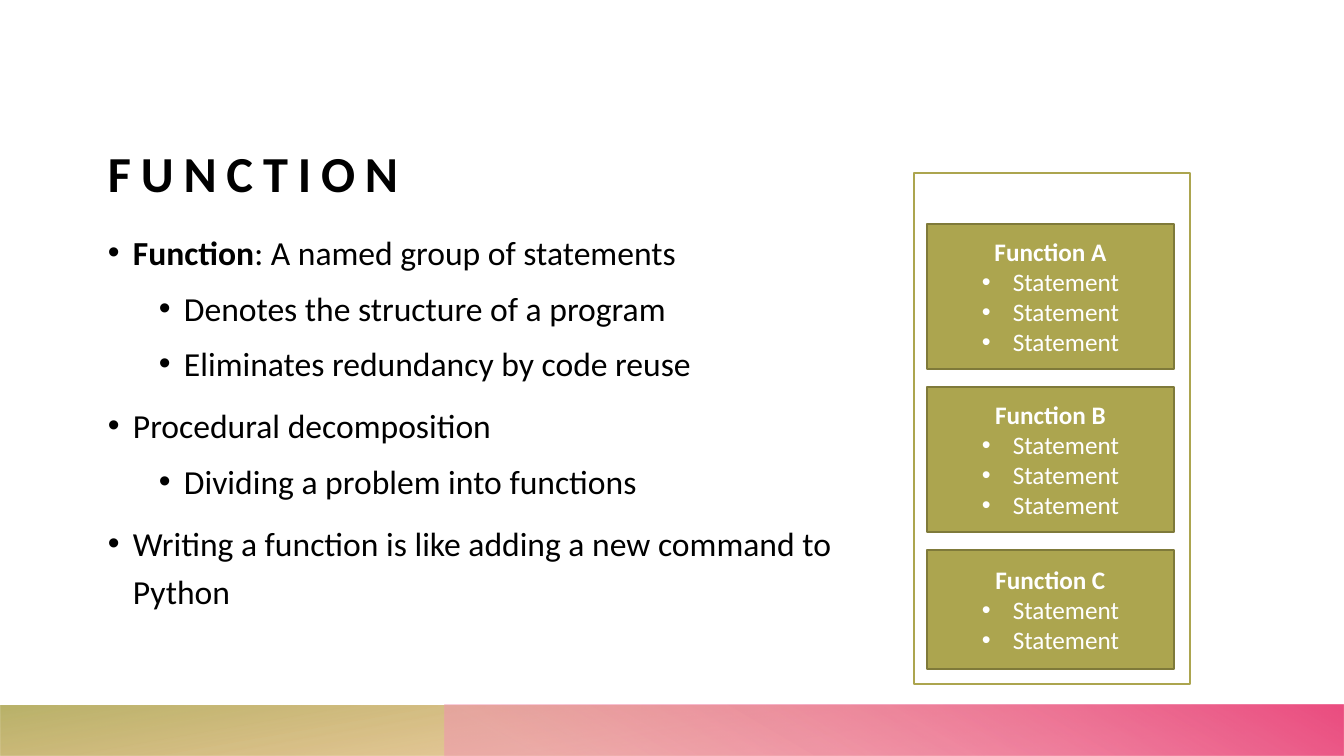
from lxml import etree
from pptx import Presentation
from pptx import util as u
from pptx.dml.color import RGBColor
from pptx.enum import shapes, text
from pptx.oxml import parse_xml
from pptx.oxml.ns import nsdecls, qn

EMU_PER_PX = 914400 / 100.8
FONT = "Calibri"
COLORS = {
    "ink": "000000",
    "white": "FFFFFF",
    "olive": "ACA54F",
    "dark olive": "7F7A3A",
    "orange": "E88F33",
    "light pink": "F395B3",
    "pink": "EB4E81",
}
TITLE_AT = (108, 67, 1129, 136)
BODY_AT = (108, 224, 803, 436)
PANEL_AT = (914, 173, 276, 511)
# level: (text indent in px, space before in points)
LEVELS = {0: (25, 10), 1: (76, 5)}
BODY_LINES = [
    (0, "Function", ": A named group of statements"),
    (1, "", "Denotes the structure of a program"),
    (1, "", "Eliminates redundancy by code reuse"),
    (0, "", "Procedural decomposition"),
    (1, "", "Dividing a problem into functions"),
    (0, "", "Writing a function is like adding a new command to Python"),
]
BOX_LEFT, BOX_TOP, BOX_WIDTH, BOX_GAP = 927, 224, 247, 18
FUNCTION_BOXES = [("Function A", 3, 145), ("Function B", 3, 145), ("Function C", 2, 119)]


def px(length):
    return u.Emu(round(length * EMU_PER_PX))


def color(name):
    return RGBColor.from_string(COLORS[name])


def set_all(target, values):
    for name, value in values.items():
        setattr(target, name, value)


def place(shape, box):
    set_all(shape, dict(zip(("left", "top", "width", "height"), map(px, box))))


def add_run(paragraph, words, size, color_name, bold=False):
    run = paragraph.add_run()
    run.text = words
    set_all(run.font, {"name": FONT, "size": u.Pt(size), "bold": bold})
    run.font.color.rgb = color(color_name)
    return run


def add_bullet(paragraph, indent, hang):
    properties = paragraph._p.get_or_add_pPr()
    properties.set("marL", str(px(indent)))
    properties.set("indent", str(-px(hang)))
    etree.SubElement(properties, qn("a:buFont")).set("typeface", "Arial")
    etree.SubElement(properties, qn("a:buChar")).set("char", "•")


def format_frame(frame, anchor):
    set_all(frame, {
        "word_wrap": True,
        "auto_size": text.MSO_AUTO_SIZE.NONE,
        "vertical_anchor": anchor,
        "margin_left": 0, "margin_top": 0, "margin_right": 0, "margin_bottom": 0,
    })


def add_rectangle(slide, box, fill=None, line=None):
    shape = slide.shapes.add_shape(shapes.MSO_SHAPE.RECTANGLE, *map(px, box))
    shape.shadow.inherit = False
    if fill:
        shape.fill.solid()
        shape.fill.fore_color.rgb = color(fill)
    if line:
        shape.line.color.rgb = color(line)
        shape.line.width = u.Pt(1)
    else:
        shape.line.fill.background()
    return shape


def add_gradient_band(slide, box, stops, angle, rotation=0):
    """Add a mirrored band; stops are (position, colour name, opacity) in percent."""
    band = add_rectangle(slide, box)
    band.rotation = rotation
    band._element.spPr.find(qn("a:xfrm")).set("flipH", "1")
    stop_xml = "".join(
        f'<a:gs pos="{position * 1000}"><a:srgbClr val="{COLORS[name]}">'
        f'<a:alpha val="{opacity * 1000}"/></a:srgbClr></a:gs>'
        for position, name, opacity in stops
    )
    gradient = parse_xml(
        f'<a:gradFill {nsdecls("a")} rotWithShape="1"><a:gsLst>{stop_xml}</a:gsLst>'
        f'<a:lin ang="{angle * 60000}" scaled="0"/></a:gradFill>'
    )
    band._element.spPr.find(qn("a:prstGeom")).addnext(gradient)


def fill_title(title):
    place(title, TITLE_AT)
    format_frame(title.text_frame, text.MSO_ANCHOR.BOTTOM)
    paragraph = title.text_frame.paragraphs[0]
    paragraph.alignment = text.PP_ALIGN.LEFT
    run = add_run(paragraph, "FUNCTION", 36, "ink", bold=True)
    run.font._element.set("spc", "700")


def fill_body(body):
    place(body, BODY_AT)
    frame = body.text_frame
    format_frame(frame, text.MSO_ANCHOR.TOP)
    for index, (level, term, words) in enumerate(BODY_LINES):
        paragraph = frame.add_paragraph() if index else frame.paragraphs[0]
        indent, space = LEVELS[level]
        set_all(paragraph, {
            "level": level,
            "line_spacing": 1.2,
            "space_before": u.Pt(space if index else 0),
        })
        add_bullet(paragraph, indent, 25)
        if term:
            add_run(paragraph, term, 24, "ink", bold=True)
        add_run(paragraph, words, 24, "ink")


def add_function_box(slide, box, name, statement_count):
    shape = add_rectangle(slide, box, "olive", "dark olive")
    frame = shape.text_frame
    set_all(frame, {"word_wrap": True, "vertical_anchor": text.MSO_ANCHOR.MIDDLE})
    heading = frame.paragraphs[0]
    heading.alignment = text.PP_ALIGN.CENTER
    add_run(heading, name, 18, "white", bold=True)
    for _ in range(statement_count):
        paragraph = frame.add_paragraph()
        paragraph.alignment = text.PP_ALIGN.CENTER
        add_bullet(paragraph, 31, 31)
        add_run(paragraph, "Statement", 18, "white")


def main():
    presentation = Presentation()
    set_all(presentation, {"slide_width": px(1344), "slide_height": px(756)})
    slide = presentation.slides.add_slide(presentation.slide_layouts[1])

    add_gradient_band(slide, (0, 705, 1344, 51),
                      [(14, "orange", 28), (100, "olive", 85)], 100, rotation=180)
    add_gradient_band(slide, (445, 705, 899, 51),
                      [(9, "light pink", 55), (99, "pink", 100)], 240)
    fill_title(slide.shapes.title)
    fill_body(slide.placeholders[1])

    add_rectangle(slide, PANEL_AT, "white", "olive")
    top = BOX_TOP
    for name, statement_count, height in FUNCTION_BOXES:
        add_function_box(slide, (BOX_LEFT, top, BOX_WIDTH, height), name, statement_count)
        top += height + BOX_GAP

    presentation.save("out.pptx")


if __name__ == "__main__":
    main()
